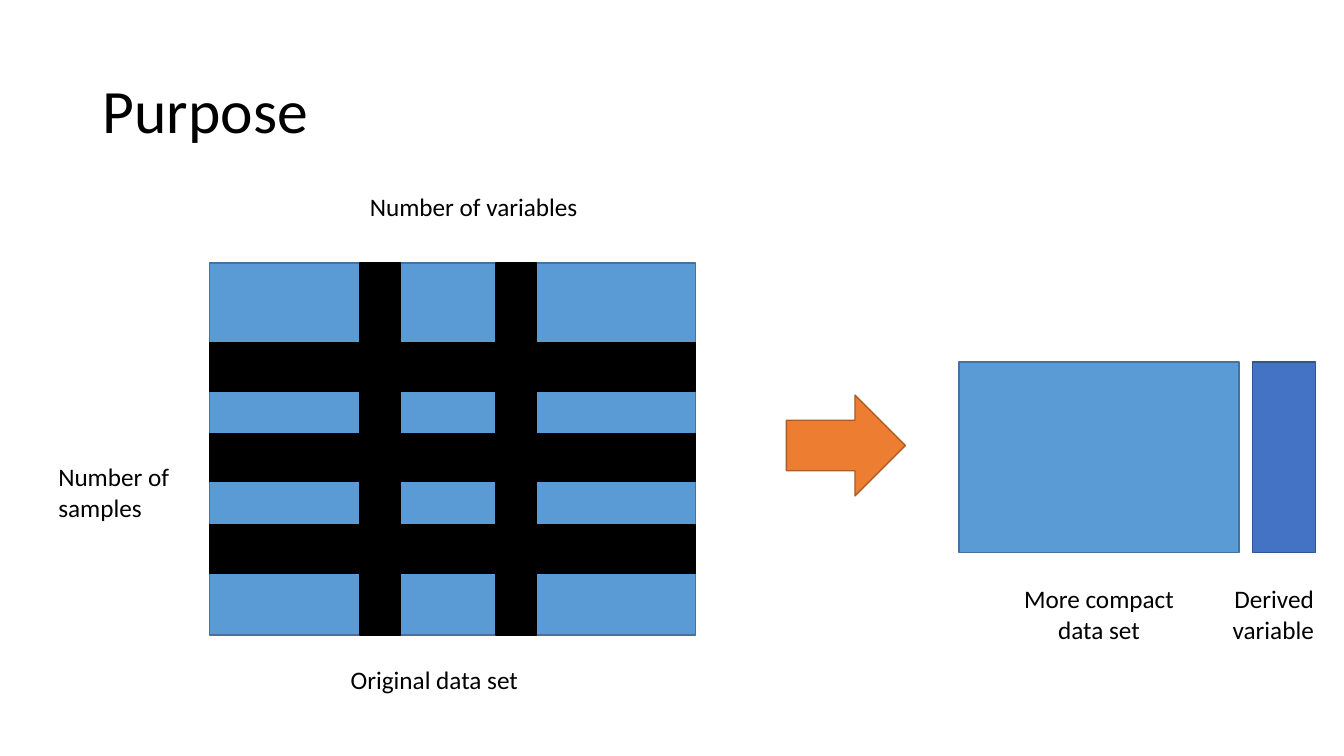
from pptx import Presentation
from pptx import util as u
from pptx.dml.color import RGBColor
from pptx.enum import shapes, text

PX = 9144  # EMU per px, 100 px to the inch
BLACK = "000000"
LIGHT_BLUE, LIGHT_BLUE_EDGE = "5B9BD5", "43739E"
RECT = shapes.MSO_SHAPE.RECTANGLE
ARROW = shapes.MSO_SHAPE.RIGHT_ARROW
ALIGN = text.PP_ALIGN


def color(value):
    return RGBColor.from_string(value)


def px(*lengths):
    return [u.Emu(length * PX) for length in lengths]


def write(box, words, size, align=ALIGN.LEFT, anchor=text.MSO_ANCHOR.TOP, spacing=1.0):
    frame = box.text_frame
    frame.word_wrap = True
    frame.vertical_anchor = anchor
    para = frame.paragraphs[0]
    para.alignment = align
    para.line_spacing = spacing
    span = para.add_run()
    span.text = words
    for name, value in {"name": "Calibri", "size": u.Pt(size)}.items():
        setattr(span.font, name, value)
    span.font.color.rgb = color(BLACK)


def add_title(page, words):
    title = page.shapes.title
    place = dict(zip(("left", "top", "width", "height"), px(92, 40, 1150, 145)))
    for name, value in place.items():
        setattr(title, name, value)
    write(title, words, 44, anchor=text.MSO_ANCHOR.MIDDLE, spacing=0.9)


def add_label(page, words, place, align=ALIGN.LEFT):
    box = page.shapes.add_textbox(*px(*place))
    write(box, words, 18, align)


def add_block(page, place, fill, edge, kind=RECT):
    block = page.shapes.add_shape(kind, *px(*place))
    block.shadow.inherit = False
    block.fill.solid()
    block.fill.fore_color.rgb = color(fill)
    block.line.color.rgb = color(edge)
    block.line.width = u.Pt(1)


def add_crossed_grid(page, left, top, width, height):
    add_block(page, (left, top, width, height), LIGHT_BLUE, LIGHT_BLUE_EDGE)
    # Removed variables (columns) and removed samples (rows)
    for column in (149, 284):
        add_block(page, (left + column, top, 40, height), BLACK, BLACK)
    for row in (79, 169, 260):
        add_block(page, (left, top + row, width, 48), BLACK, BLACK)


def main():
    deck = Presentation()
    deck.slide_width, deck.slide_height = px(1333, 750)
    page = deck.slides.add_slide(deck.slide_layouts[5])
    add_title(page, "Purpose")

    # Original data
    add_crossed_grid(page, 208, 261, 482, 369)
    add_label(page, "Number of samples", (48, 453, 144, 71))
    add_label(page, "Number of variables", (357, 185, 283, 40))
    add_label(page, "Original data set", (338, 654, 283, 40))

    # Reduced data
    add_block(page, (780, 392, 118, 100), "ED7D31", "AF5C24", ARROW)
    add_block(page, (951, 359, 278, 189), LIGHT_BLUE, LIGHT_BLUE_EDGE)
    add_block(page, (1242, 359, 63, 189), "4472C4", "325491")
    add_label(page, "More compact data set", (993, 574, 194, 71), ALIGN.CENTER)
    add_label(page, "Derived variable", (1170, 574, 143, 71), ALIGN.RIGHT)

    deck.save("out.pptx")


if __name__ == "__main__":
    main()
